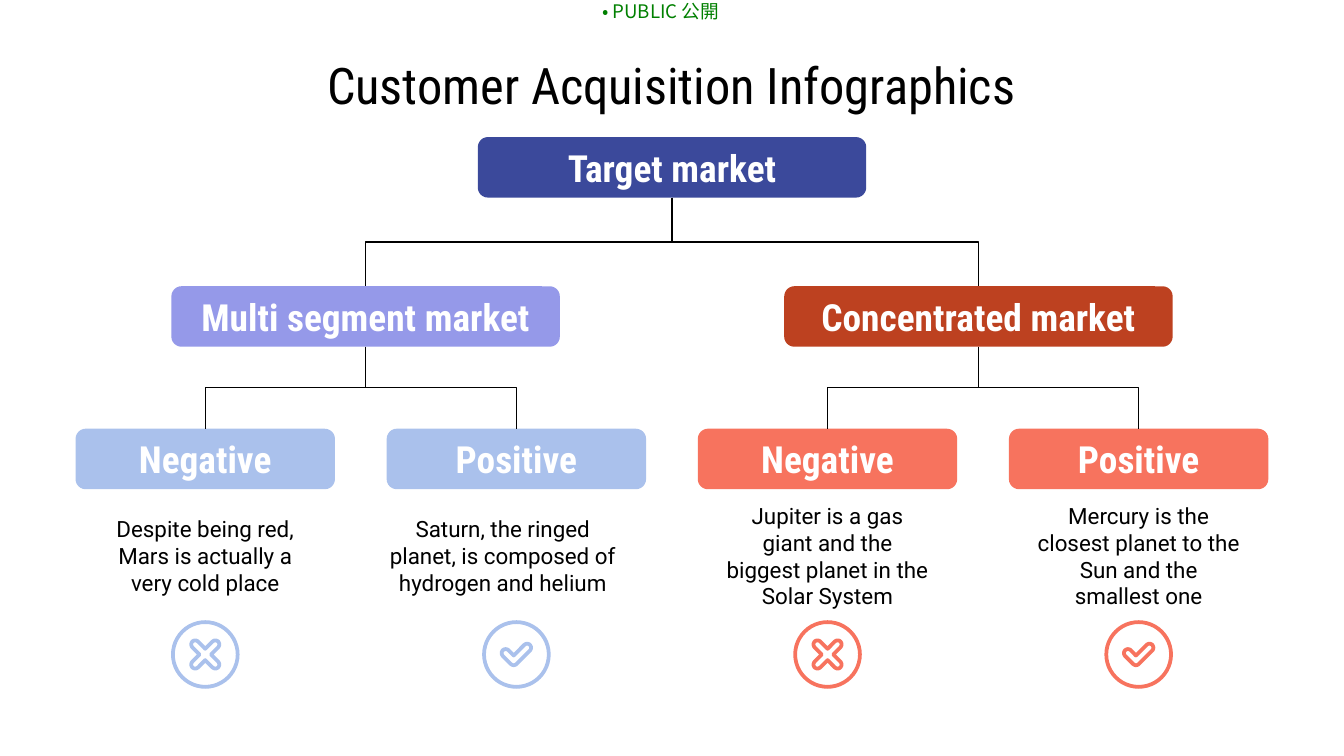
import math

import pptx
import pptx.dml.color
import pptx.enum.shapes
import pptx.enum.text
import pptx.util
from lxml import etree
from pptx.oxml.ns import qn

HEAD, BODY, CJK = "Roboto Condensed", "Roboto", "Noto Sans CJK JP"
BLACK, WHITE, GREEN = "000000", "FFFFFF", "008000"
PALE_BLUE, CORAL = "AAC1EC", "F7735E"

LABEL = "• PUBLIC 公開"
TITLE = "Customer Acquisition Infographics"
ROOT = ("Target market", "3B499B")
SEGMENTS = [("Multi segment market", "9599E9"), ("Concentrated market", "BD4120")]
# heading, colour, description, left inset of the description, icon
LEAVES = [
    ("Negative", PALE_BLUE, "Despite being red, Mars is actually a very cold place", 0.3, "cross"),
    ("Positive", PALE_BLUE, "Saturn, the ringed planet, is composed of hydrogen and helium", 0.1, "check"),
    ("Negative", CORAL, "Jupiter is a gas giant and the biggest planet in the Solar System", 0.3, "cross"),
    ("Positive", CORAL, "Mercury is the closest planet to the Sun and the smallest one", 0.3, "check"),
]

WIDTH = 10
HEIGHT = WIDTH * 9 / 16
CENTER = WIDTH / 2
SEGMENT_OFFSET, LEAF_PITCH = 2.28, 2.315
ROOT_Y, SEGMENT_Y, LEAF_Y, TEXT_Y, ICON_Y = 1.02, 2.13, 3.19, 3.86, 4.87
BOX_H, WIDE, NARROW = 0.45, 2.89, 1.93
TEXT_W, TEXT_H, RING = 2.11, 0.55, 0.51
UNITS = 1000  # freeform units per inch

# Icon outlines: arcs of (centre x, centre y, radius, start angle, end angle)
R = 0.03
NOTCH = R * math.sqrt(2)
ICONS = {"cross": [], "check": [
    (-0.08, -0.01, R, 135, 315), (-0.02, 0.05, NOTCH, 270, 270),
    (0.08, -0.05, R, 225, 405), (-0.02, 0.05, R, 45, 135)]}
for angle, sx, sy in [(45, 1, 1), (135, -1, 1), (225, -1, -1), (315, 1, -1)]:
    ICONS["cross"] += [(0, 0, NOTCH, angle - 45, angle - 45),
                       (0.075 * sx, 0.075 * sy, R, angle - 90, angle + 90)]

inch = pptx.util.Inches
MSO = pptx.enum.shapes.MSO_SHAPE


def rgb(value):
    return pptx.dml.color.RGBColor.from_string(value)


def write(sp, text, size, font, color, bold=False, insets=(0.1, 0.1, 0.1, 0.1), anchor="MIDDLE"):
    tf = sp.text_frame
    tf.word_wrap = True
    tf.auto_size = pptx.enum.text.MSO_AUTO_SIZE.NONE
    tf.vertical_anchor = pptx.enum.text.MSO_ANCHOR[anchor]
    tf.margin_left, tf.margin_top, tf.margin_right, tf.margin_bottom = map(inch, insets)
    p = tf.paragraphs[0]
    p.alignment = pptx.enum.text.PP_ALIGN.CENTER
    r = p.add_run()
    r.text = text
    r.font.size, r.font.name, r.font.bold = pptx.util.Pt(size), font, bold
    r.font.color.rgb = rgb(color)
    etree.SubElement(r.font._element, qn("a:ea")).set("typeface", font)


def add_filled(s, kind, x, y, w, h, color, adjustment):
    """Add a preset shape whose top edge is centred on x."""
    sp = s.shapes.add_shape(kind, inch(x - w / 2), inch(y), inch(w), inch(h))
    sp.shadow.inherit = False
    sp.adjustments[0] = adjustment
    sp.fill.solid()
    sp.fill.fore_color.rgb = rgb(color)
    sp.line.fill.background()
    return sp


def add_box(s, x, y, w, text, color):
    sp = add_filled(s, MSO.ROUNDED_RECTANGLE, x, y, w, BOX_H, color, 0.167)
    write(sp, text, 20, HEAD, WHITE, bold=True)


def add_branch(s, x1, y1, x2, y2):
    """Add an elbow that leaves and arrives vertically: a turned horizontal one."""
    cx, cy = (x1 + x2) / 2, (y1 + y2) / 2
    half_w, half_h = (y2 - y1) / 2, abs(x2 - x1) / 2
    side = 1 if x2 > x1 else -1
    line = s.shapes.add_connector(
        pptx.enum.shapes.MSO_CONNECTOR.ELBOW,
        inch(cx + side * half_w), inch(cy - half_h),
        inch(cx - side * half_w), inch(cy + half_h))
    line._element.spPr.find(qn("a:xfrm")).set("rot", str((180 + 90 * side) * 60000))
    line.line.color.rgb = rgb(BLACK)
    line.line.width = pptx.util.Pt(0.75)
    etree.SubElement(line._element.spPr, qn("a:effectLst"))


def add_icon(s, x, y, icon, color):
    add_filled(s, MSO.DONUT, x, y - RING / 2, RING, RING, color, 0.055)
    points = []
    for dx, dy, radius, start, end in ICONS[icon]:
        for a in range(start, end + 1, 15):
            t = math.radians(a)
            points.append(((x + dx + radius * math.cos(t)) * UNITS,
                           (y + dy + radius * math.sin(t)) * UNITS))
    builder = s.shapes.build_freeform(*points[0], scale=inch(1) / UNITS)
    builder.add_line_segments(points[1:], close=True)
    sp = builder.convert_to_shape()
    sp.shadow.inherit = False
    sp.fill.background()
    sp.line.color.rgb = rgb(color)
    sp.line.width = pptx.util.Pt(2)


def main():
    prs = pptx.Presentation()
    prs.slide_width, prs.slide_height = inch(WIDTH), inch(HEIGHT)
    s = prs.slides.add_slide(prs.slide_layouts[5])

    title = s.shapes.title
    title.left, title.top, title.width, title.height = map(inch, (0.49, 0.45, 9.01, 0.36))
    write(title, TITLE, 27, HEAD, BLACK)
    label = s.shapes.add_textbox(*map(inch, (4.47, 0, 0.89, 0.17)))
    write(label, LABEL, 10, CJK, GREEN, insets=(0, 0, 0, 0), anchor="TOP")

    segment_xs = [CENTER - SEGMENT_OFFSET, CENTER + SEGMENT_OFFSET]
    leaf_xs = [CENTER + (i - 1.5) * LEAF_PITCH for i in range(len(LEAVES))]

    add_box(s, CENTER, ROOT_Y, WIDE, *ROOT)
    for x, segment in zip(segment_xs, SEGMENTS):
        add_box(s, x, SEGMENT_Y, WIDE, *segment)
        add_branch(s, CENTER, ROOT_Y + BOX_H, x, SEGMENT_Y)

    for i, (heading, color, text, left, icon) in enumerate(LEAVES):
        x = leaf_xs[i]
        add_box(s, x, LEAF_Y, NARROW, heading, color)
        add_branch(s, segment_xs[i // 2], SEGMENT_Y + BOX_H, x, LEAF_Y)
        tb = s.shapes.add_textbox(inch(x - TEXT_W / 2), inch(TEXT_Y), inch(TEXT_W), inch(TEXT_H))
        write(tb, text, 12, BODY, BLACK, insets=(left, 0.1, 0.3, 0.1))
        add_icon(s, x, ICON_Y, icon, color)

    prs.save("out.pptx")


if __name__ == "__main__":
    main()
